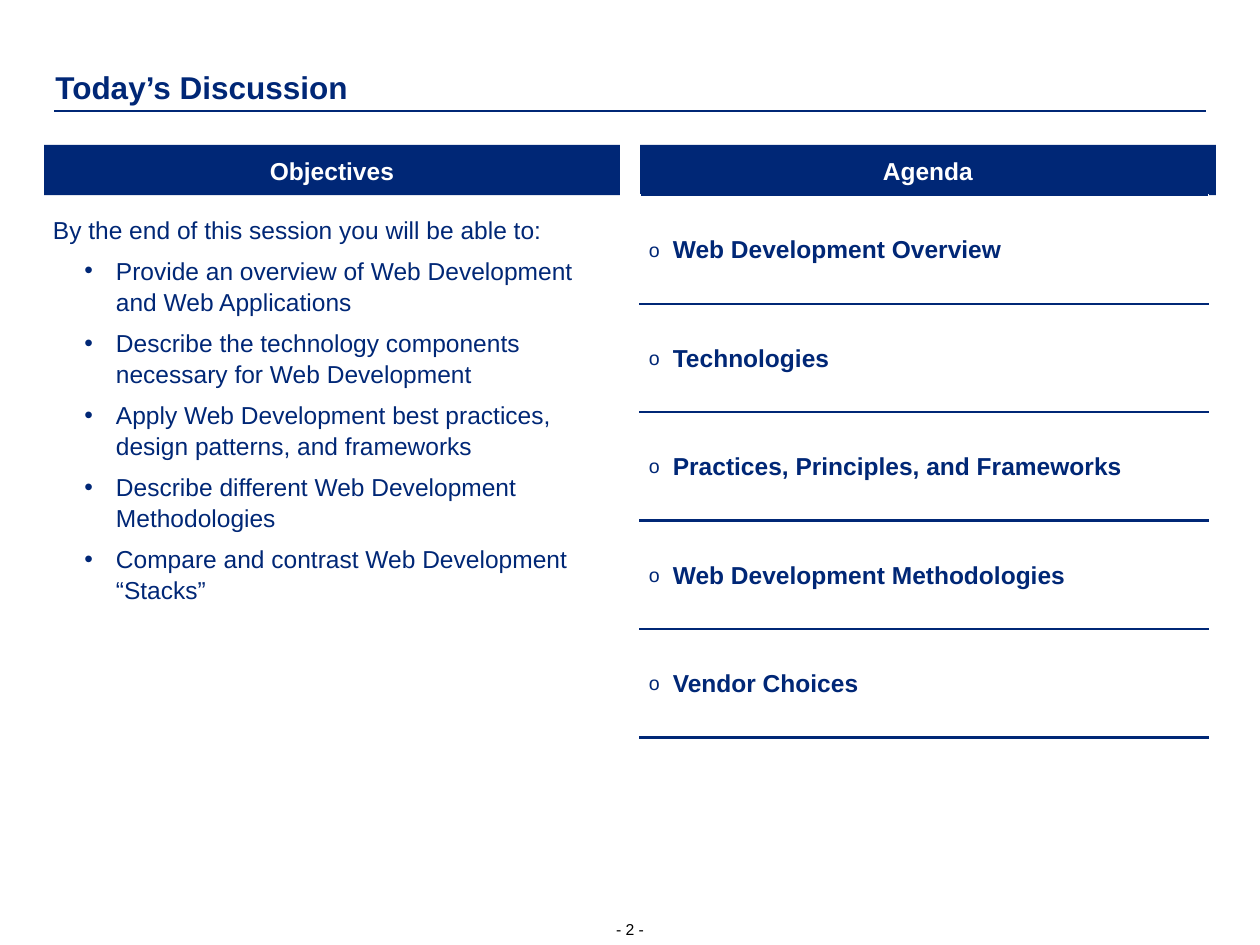
from dataclasses import dataclass

from lxml.etree import SubElement
from pptx import Presentation
from pptx.dml.color import RGBColor
from pptx.enum.shapes import MSO_CONNECTOR, MSO_SHAPE
from pptx.enum.text import MSO_ANCHOR, MSO_AUTO_SIZE, PP_ALIGN
from pptx.oxml import parse_xml
from pptx.oxml.ns import nsdecls, qn
from pptx.util import Inches, Pt


@dataclass(frozen=True)
class Theme:
    font: str = "Arial"
    navy: str = "002776"
    white: str = "FFFFFF"
    black: str = "000000"
    title_size: int = 18
    text_size: int = 14
    number_size: int = 9
    rule_width: float = 1.5
    line_spacing: float = 1.06
    space_before: float = 5.6


theme = Theme()


def write_text(paragraph, text, size=theme.text_size, color=theme.navy, bold=False,
               align=PP_ALIGN.LEFT, before=0, margin=0, indent=0, bullet=None, bullet_size=100):
    paragraph.alignment = align
    paragraph.line_spacing = theme.line_spacing
    paragraph.space_before = Pt(before)
    run = paragraph.add_run()
    run.text = text
    run.font.name = theme.font
    run.font.size = Pt(size)
    run.font.bold = bold
    run.font.color.rgb = RGBColor.from_string(color)
    properties = paragraph._p.get_or_add_pPr()
    properties.set("marL", str(Inches(margin)))
    properties.set("indent", str(Inches(indent)))
    if bullet:
        bullet_color = SubElement(properties, qn("a:buClr"))
        SubElement(bullet_color, qn("a:srgbClr"), val=theme.navy)
        SubElement(properties, qn("a:buSzPct"), val=str(bullet_size * 1000))
        SubElement(properties, qn("a:buFont"), typeface=theme.font)
        SubElement(properties, qn("a:buChar"), char=bullet)
    else:
        SubElement(properties, qn("a:buNone"))


def set_frame(frame, anchor, inset=0, wrap=True):
    frame.auto_size = MSO_AUTO_SIZE.NONE
    frame.word_wrap = wrap
    frame.vertical_anchor = anchor
    frame.margin_left = frame.margin_right = Inches(inset)
    frame.margin_top = frame.margin_bottom = Inches(inset)


headings = ["Objectives", "Agenda"]
objectives = [
    "Provide an overview of Web Development and Web Applications",
    "Describe the technology components necessary for Web Development",
    "Apply Web Development best practices, design patterns, and frameworks",
    "Describe different Web Development Methodologies",
    "Compare and contrast Web Development “Stacks”",
]
agenda = [
    "Web Development Overview",
    "Technologies",
    "Practices, Principles, and Frameworks",
    "Web Development Methodologies",
    "Vendor Choices",
]

presentation = Presentation()
presentation.slide_width = Inches(10)
presentation.slide_height = Inches(7.5)
slide = presentation.slides.add_slide(presentation.slide_layouts[1])

margin, gap = Inches(0.35), Inches(0.16)
column_width = (presentation.slide_width - 2 * margin - gap) // 2
column_lefts = [margin + index * (column_width + gap) for index in range(2)]
heading_top, heading_height = Inches(1.15), Inches(0.4)
agenda_top, agenda_row = heading_top + heading_height, Inches(0.861)

title = slide.shapes.title
title.left, title.top, title.width, title.height = Inches(0.44), Inches(0.52), Inches(9.13), Inches(0.32)
set_frame(title.text_frame, MSO_ANCHOR.BOTTOM)
write_text(title.text_frame.paragraphs[0], "Today’s Discussion", size=theme.title_size, bold=True)

rule_inset, rule_top = Inches(0.43), Inches(0.88)
rule = slide.shapes.add_connector(MSO_CONNECTOR.STRAIGHT, rule_inset, rule_top,
                                  presentation.slide_width - rule_inset, rule_top)
rule.line.color.rgb = RGBColor.from_string(theme.navy)
rule.line.width = Pt(theme.rule_width)
SubElement(rule._element.spPr, qn("a:effectLst"))

for left, heading in zip(column_lefts, headings):
    shape = slide.shapes.add_shape(MSO_SHAPE.RECTANGLE, left, heading_top, column_width, heading_height)
    shape.shadow.inherit = False
    shape.fill.solid()
    shape.fill.fore_color.rgb = RGBColor.from_string(theme.navy)
    shape.line.fill.background()
    set_frame(shape.text_frame, MSO_ANCHOR.MIDDLE, inset=0.08)
    write_text(shape.text_frame.paragraphs[0], heading, color=theme.white, bold=True, align=PP_ALIGN.CENTER)

body = slide.placeholders[1]
body.left, body.top, body.width, body.height = Inches(0.42), Inches(1.69), Inches(4.35), Inches(5.06)
set_frame(body.text_frame, MSO_ANCHOR.TOP)
write_text(body.text_frame.paragraphs[0], "By the end of this session you will be able to:",
           before=theme.space_before, margin=0.19, indent=-0.19)
for objective in objectives:
    paragraph = body.text_frame.add_paragraph()
    paragraph.level = 1
    write_text(paragraph, objective, before=theme.space_before, margin=0.5, indent=-0.25, bullet="•")

row_count = len(agenda) + 1
table = slide.shapes.add_table(row_count, 1, column_lefts[1], agenda_top,
                               Inches(4.51), agenda_row * row_count).table
table.first_row = False
table.horz_banding = False
for index in range(row_count):
    table.rows[index].height = agenda_row
    cell = table.cell(index, 0)
    cell.fill.background()
    cell.vertical_anchor = MSO_ANCHOR.MIDDLE
    cell.margin_left = cell.margin_right = cell.margin_top = cell.margin_bottom = 0
    edges = ["lnT"]
    if index < len(agenda):
        edges.append("lnB")
        write_text(cell.text_frame.paragraphs[0], agenda[index], bold=True,
                   margin=0.26, indent=-0.19, bullet="o", bullet_size=80)
    for position, edge in enumerate(edges):
        border = parse_xml(
            f'<a:{edge} {nsdecls("a")} w="{Pt(theme.rule_width)}"><a:solidFill>'
            f'<a:srgbClr val="{theme.navy}"/></a:solidFill></a:{edge}>')
        cell._tc.get_or_add_tcPr().insert(position, border)

number_width = Inches(0.31)
number = slide.shapes.add_textbox((presentation.slide_width - number_width) // 2, Inches(7.29),
                                  number_width, Inches(0.16))
set_frame(number.text_frame, MSO_ANCHOR.BOTTOM, wrap=False)
write_text(number.text_frame.paragraphs[0], "- 2 -", size=theme.number_size,
           color=theme.black, align=PP_ALIGN.CENTER)

presentation.save("out.pptx")
